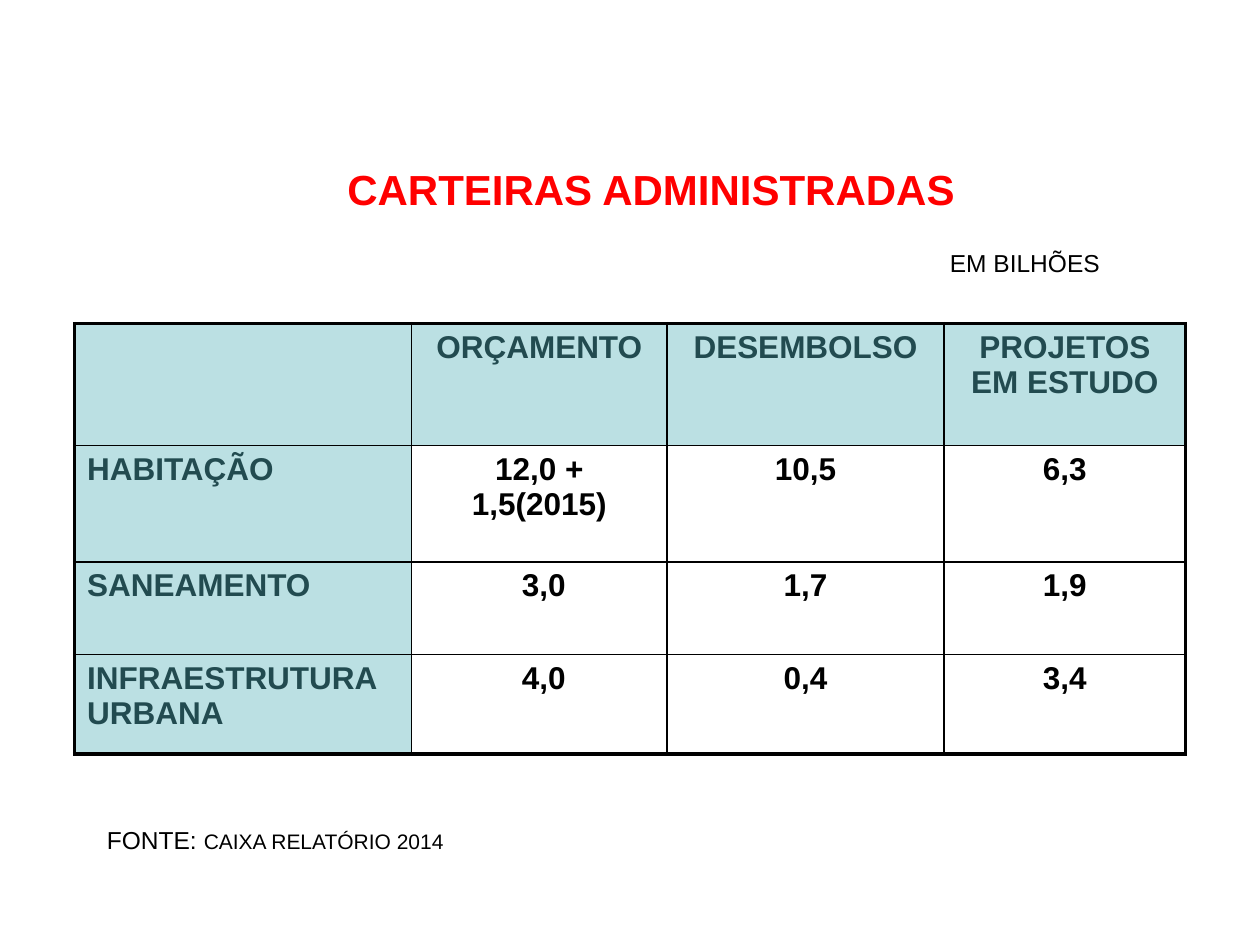
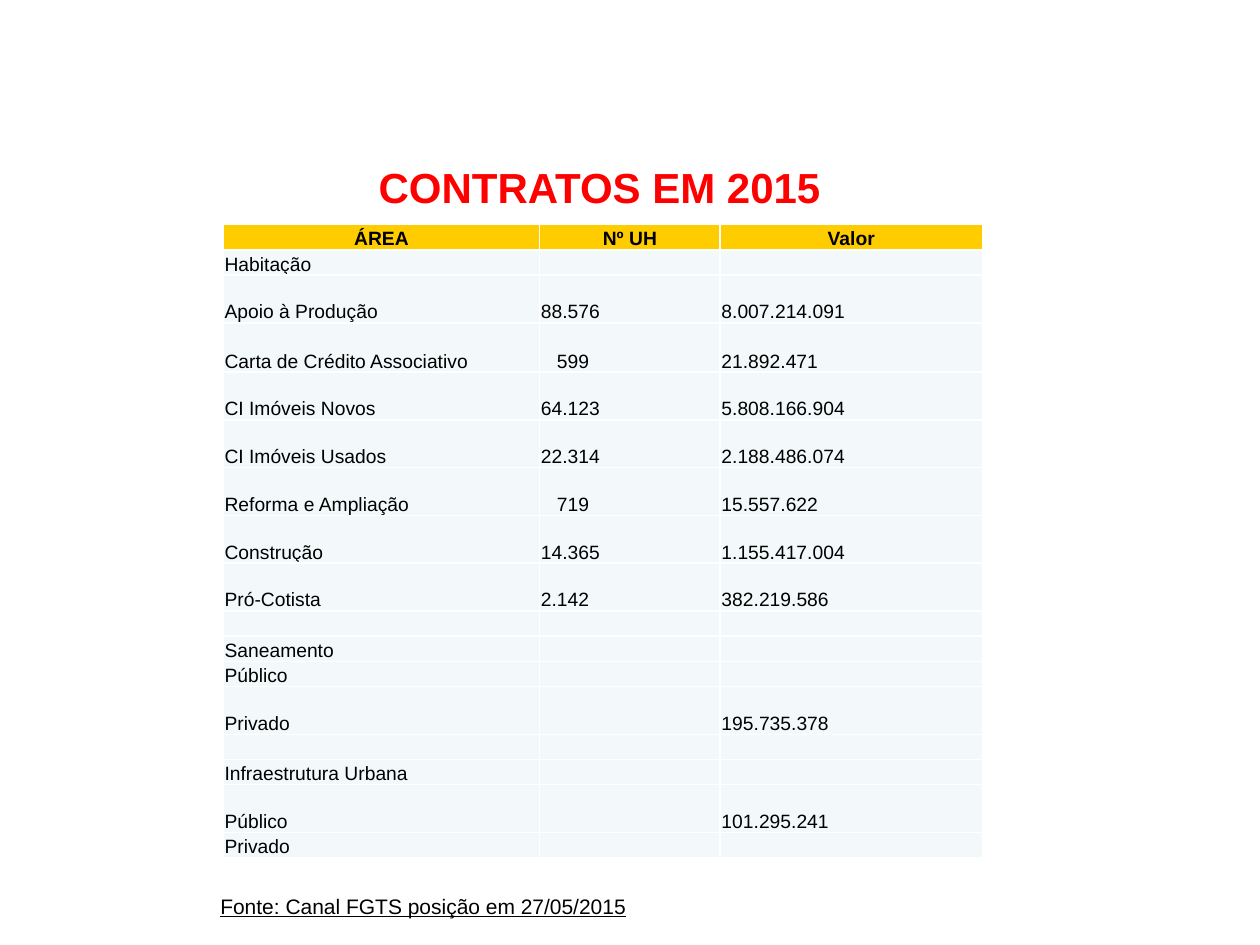
from lxml.etree import SubElement
from pptx import Presentation
from pptx.dml.color import RGBColor
from pptx.enum.text import MSO_ANCHOR, MSO_AUTO_SIZE, PP_ALIGN
from pptx.oxml.ns import qn
from pptx.util import Pt

HUES = {
    "red": "FF0000", "black": "000000", "white": "FFFFFF",
    "teal": "224B50", "aqua": "BBE0E3", "gold": "FFCC00", "mist": "F3F9FA",
}
TITLE = {"size": Pt(24), "bold": True, "hue": "red"}
NOTE = {"size": Pt(14), "hue": "black"}
SMALL = {"size": Pt(12), "hue": "black"}
LINK = {**SMALL, "underline": True}
HEAD = {"size": Pt(18), "bold": True, "hue": "teal"}
BODY = {**HEAD, "hue": "black"}
TOP = {"size": Pt(11), "bold": True, "hue": "black"}
ROW = {**TOP, "bold": False}

FUNDS = [
    ["", "ORÇAMENTO", "DESEMBOLSO", "PROJETOS EM ESTUDO"],
    ["HABITAÇÃO", "12,0 + 1,5(2015)", "10,5", "6,3"],
    ["SANEAMENTO", "3,0", "1,7", "1,9"],
    ["INFRAESTRUTURA URBANA", "4,0", "0,4", "3,4"],
]
DEALS = [
    ["ÁREA", "Nº UH", "Valor"],
    ["Habitação", "", ""],
    ["Apoio à Produção", "88.576", "8.007.214.091"],
    ["Carta de Crédito Associativo", "599", "21.892.471"],
    ["CI Imóveis Novos", "64.123", "5.808.166.904"],
    ["CI Imóveis Usados", "22.314", "2.188.486.074"],
    ["Reforma e Ampliação", "719", "15.557.622"],
    ["Construção", "14.365", "1.155.417.004"],
    ["Pró-Cotista", "2.142", "382.219.586"],
    ["", "", ""],
    ["Saneamento", "", ""],
    ["Público", "", ""],
    ["Privado", "", "195.735.378"],
    ["", "", ""],
    ["Infraestrutura Urbana", "", ""],
    ["Público", "", "101.295.241"],
    ["Privado", "", ""],
]


def fund_look(row, col):
    side = row == 0 or col == 0
    return {
        "style": HEAD if side else BODY,
        "fill": "aqua" if side else None,
        "align": PP_ALIGN.CENTER if col else PP_ALIGN.LEFT,
        "pad": 5 if row > 1 and col == 1 else 0,
    }


def deal_look(row, col):
    return {
        "style": ROW if row else TOP,
        "fill": "mist" if row else "gold",
        "align": PP_ALIGN.LEFT if row else PP_ALIGN.CENTER,
        "pad": 9.2 if col == 1 and len(DEALS[row][col]) == 3 else 0,
    }


class Deck:
    font = "Arial"

    def __init__(self):
        self.file = Presentation()
        self.file.slide_width, self.file.slide_height = Pt(720), Pt(540)

    def page(self):
        self.slide = self.file.slides.add_slide(self.file.slide_layouts[6])

    def add_text(self, para, text, style):
        run = para.add_run()
        run.text = text
        run.font.name = self.font
        for key, val in style.items():
            if key == "hue":
                run.font.color.rgb = RGBColor.from_string(HUES[val])
            else:
                setattr(run.font, key, val)

    def label(self, box, parts, align=PP_ALIGN.LEFT):
        frame = self.slide.shapes.add_textbox(*map(Pt, box)).text_frame
        frame.word_wrap = True
        frame.auto_size = MSO_AUTO_SIZE.SHAPE_TO_FIT_TEXT
        para = frame.paragraphs[0]
        para.alignment = align
        for text, style in parts:
            self.add_text(para, text, style)

    def title(self, box, text):
        self.label(box, [(text, TITLE)], PP_ALIGN.CENTER)

    def edge(self, cell, side, hue, width):
        line = SubElement(cell._tc.get_or_add_tcPr(), qn(f"a:ln{side}"), w=str(Pt(width)))
        fill = SubElement(line, qn("a:solidFill"))
        SubElement(fill, qn("a:srgbClr"), val=HUES[hue])

    def grid(self, left, top, cols, rows, data, look, rim, hue, inset, anchor):
        size = map(Pt, (left, top, sum(cols), sum(rows)))
        table = self.slide.shapes.add_table(len(rows), len(cols), *size).table
        table.first_row = table.horz_banding = False
        for col, width in zip(table.columns, cols):
            col.width = Pt(width)
        for row, height in zip(table.rows, rows):
            row.height = Pt(height)
        for y, line in enumerate(data):
            for x, text in enumerate(line):
                cell, form = table.cell(y, x), look(y, x)
                ends = {"L": x == 0, "R": x == len(cols) - 1,
                        "T": y == 0, "B": y == len(rows) - 1}
                for side, outer in ends.items():
                    self.edge(cell, side, hue, rim if outer else 1)
                if form["fill"]:
                    cell.fill.solid()
                    cell.fill.fore_color.rgb = RGBColor.from_string(HUES[form["fill"]])
                else:
                    cell.fill.background()
                for name, gap in zip(("left", "top", "right", "bottom"), inset):
                    pad = form["pad"] if name == "left" else 0
                    setattr(cell, f"margin_{name}", Pt(gap + pad))
                cell.vertical_anchor = anchor
                para = cell.text_frame.paragraphs[0]
                para.alignment = form["align"]
                if text:
                    self.add_text(para, text, form["style"])
                else:
                    points = int(form["style"]["size"].pt * 100)
                    SubElement(para._p, qn("a:endParaRPr"), sz=str(points))


def main():
    deck = Deck()

    deck.page()
    deck.title((60, 90, 624, 36.7), "CARTEIRAS ADMINISTRADAS")
    deck.grid(42.6, 184.9, [192.6, 146, 158.3, 138.1], [69.7, 66.6, 52.9, 56.9],
              FUNDS, fund_look, 2.25, "black", (7.2, 3.6, 7.2, 3.6), MSO_ANCHOR.TOP)
    deck.label((535.7, 138.2, 118.8, 23.8), [("EM BILHÕES", NOTE)])
    deck.label((54, 468, 432, 23.8), [("FONTE: ", NOTE), ("CAIXA RELATÓRIO 2014", SMALL)])

    deck.page()
    deck.title((82, 88.6, 521.3, 36.7), "CONTRATOS EM 2015")
    low, tall = 14.4, 27.3
    rows = [tall if row[2] and y else low for y, row in enumerate(DEALS)]
    rows[3] = 28.1
    deck.grid(127.6, 128.4, [180.8, 103.2, 149.8], rows,
              DEALS, deal_look, 1, "white", (0.72, 0.72, 0.72, 0), MSO_ANCHOR.BOTTOM)
    deck.label((118.8, 506.9, 481.7, 21.6), [("Fonte: Canal FGTS posição em 27/05/2015", LINK)])

    deck.file.save("out.pptx")


if __name__ == "__main__":
    main()
